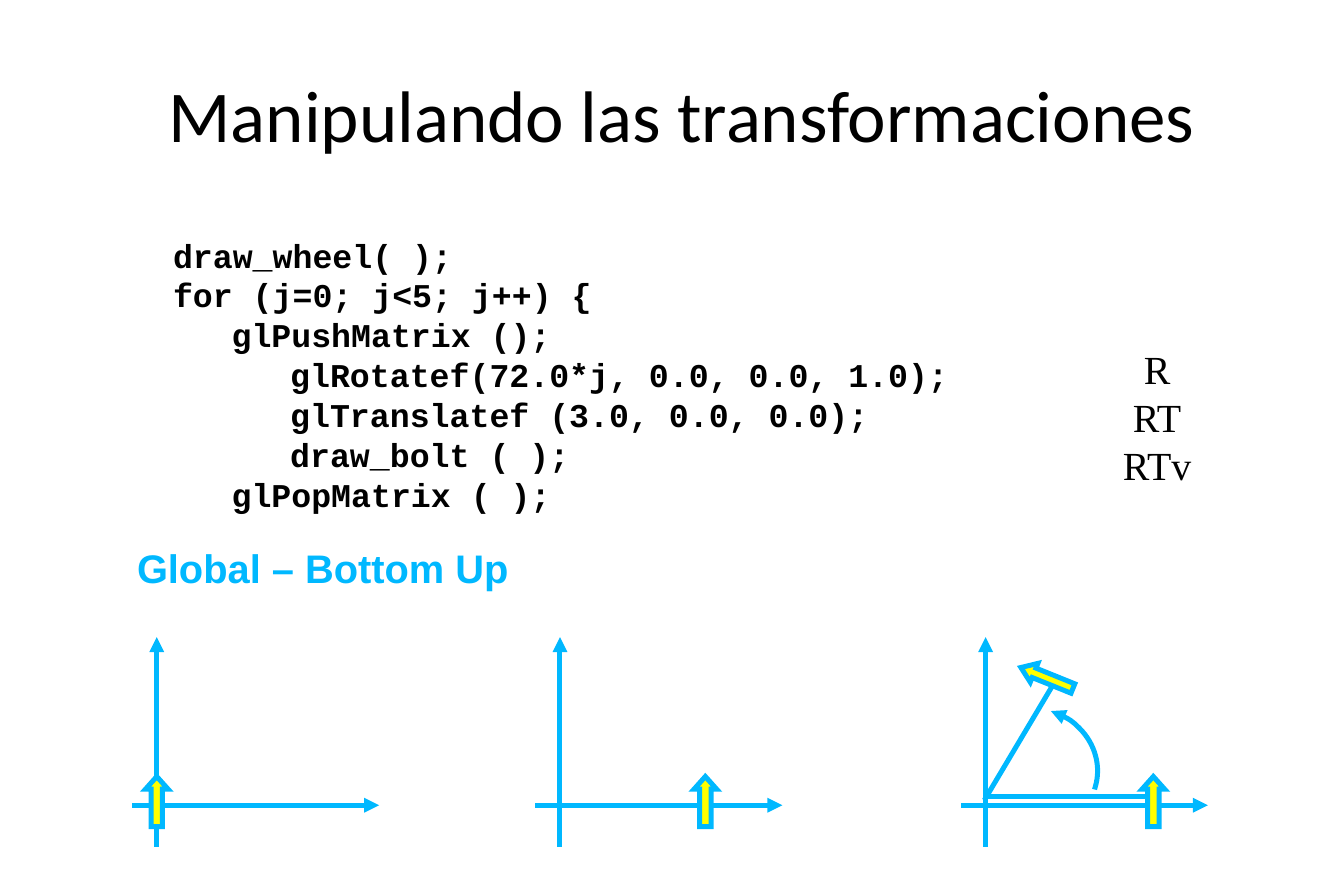
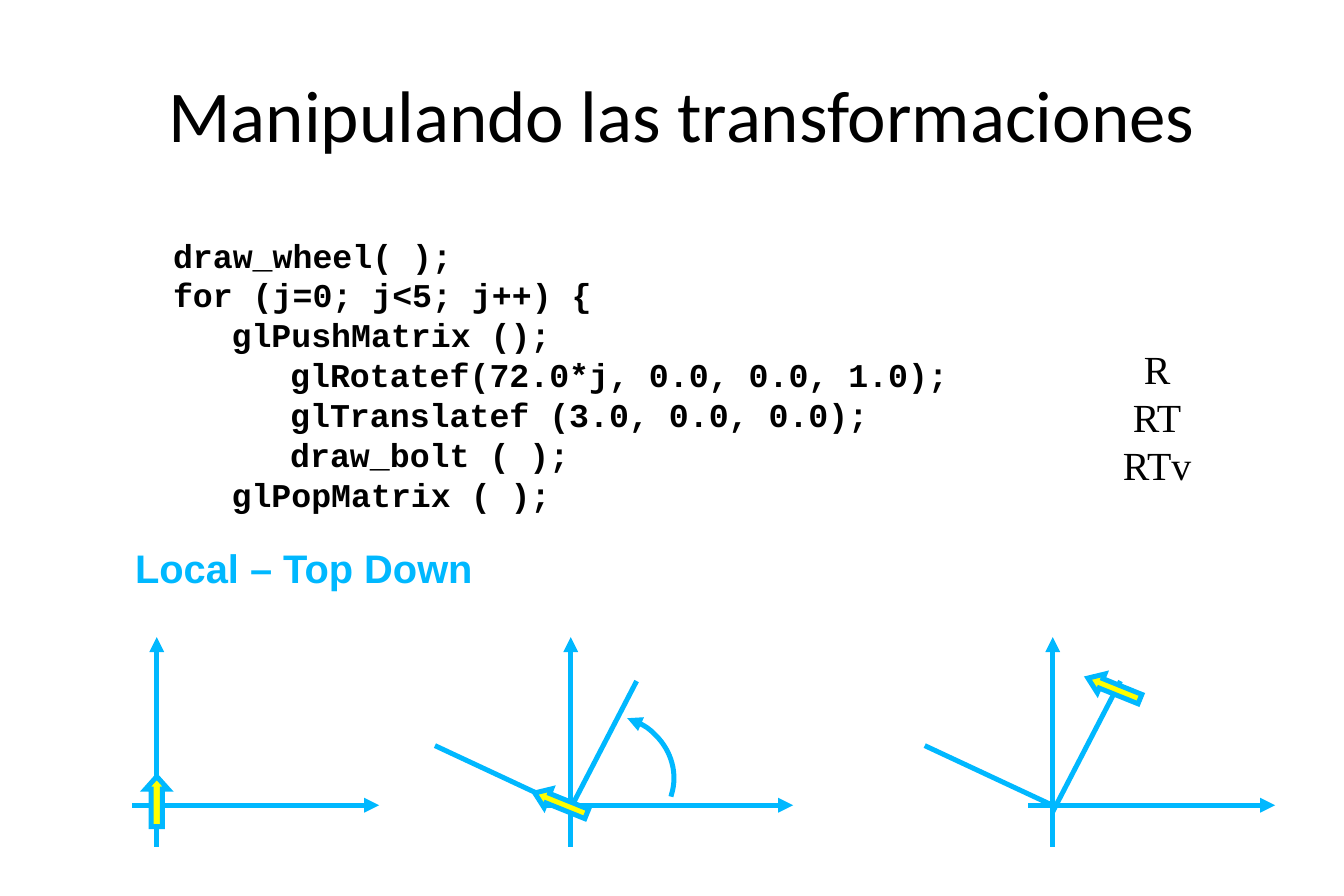
from dataclasses import dataclass

from lxml.etree import SubElement
from pptx import Presentation
from pptx.dml.color import RGBColor
from pptx.dml.line import LineFormat
from pptx.enum.shapes import MSO_CONNECTOR, MSO_SHAPE
from pptx.enum.text import PP_ALIGN
from pptx.oxml.ns import qn
from pptx.shapes.autoshape import Shape
from pptx.shapes.shapetree import GroupShapes, SlideShapes
from pptx.slide import Slide, SlideLayout
from pptx.text.text import _Paragraph as Paragraph
from pptx.util import Pt


@dataclass(frozen=True)
class Theme:
    ink: RGBColor = RGBColor(0x00, 0x00, 0x00)
    accent: RGBColor = RGBColor(0x00, 0xB8, 0xFF)
    bolt: RGBColor = RGBColor(0xFF, 0xFF, 0x00)
    title_size: float = 44
    label_size: float = 24
    code_size: float = 20
    leading: float = 1.2
    stroke: float = 3
    code_indent: float = 35.3


@dataclass(frozen=True)
class Point:
    x: float
    y: float


@dataclass(frozen=True)
class Box:
    left: float
    top: float
    width: float
    height: float


@dataclass(frozen=True)
class TextStyle:
    font: str
    size: float
    color: RGBColor
    bold: bool = False
    align: PP_ALIGN = PP_ALIGN.LEFT


@dataclass(frozen=True)
class Line:
    text: str
    level: int = 0


@dataclass(frozen=True)
class Segment:
    start: Point
    end: Point


@dataclass(frozen=True)
class Figure:
    preset: MSO_SHAPE
    width: float
    height: float
    rotation: float
    adjustments: tuple[float, float]


@dataclass(frozen=True)
class Bolt:
    figure: Figure
    center: Point


@dataclass(frozen=True)
class Scene:
    heading: str
    heading_box: Box
    origins: tuple[float, ...]
    turn_pivot: Point
    rays: tuple[Segment, ...]
    bolts: tuple[Bolt, ...]


THEME = Theme()
SLIDE_WIDTH, SLIDE_HEIGHT = 810, 540

TITLE = "Manipulando las transformaciones"
TITLE_BOX = Box(14.4, 23.5, 793.5, 90)
TITLE_STYLE = TextStyle("Calibri", THEME.title_size, THEME.ink, align=PP_ALIGN.CENTER)

CODE = (
    Line("draw_wheel( );"),
    Line("for (j=0; j<5; j++) {"),
    Line("glPushMatrix ();", level=1),
    Line("glRotatef(72.0*j, 0.0, 0.0, 1.0);", level=2),
    Line("glTranslatef (3.0, 0.0, 0.0);", level=2),
    Line("draw_bolt ( );", level=2),
    Line("glPopMatrix ( );", level=1),
)
CODE_BOX = Box(97.2, 138, 481.7, 175.2)
CODE_STYLE = TextStyle("Courier New", THEME.code_size, THEME.ink, bold=True)

MATRICES = (Line("R"), Line("RT"), Line("RTv"))
MATRIX_BOX = Box(668.9, 204.4, 56.9, 93.6)
MATRIX_STYLE = TextStyle("Times New Roman", THEME.label_size, THEME.ink, align=PP_ALIGN.CENTER)

HEADING_STYLE = TextStyle("Arial", THEME.label_size, THEME.accent, bold=True)

AXIS_Y = 485.3
AXIS_TOP, AXIS_BOTTOM = 384, 509
AXIS_BEFORE, AXIS_AFTER = 13.4, 134
FIRST_ORIGIN = 94.5

UPRIGHT_Y = 483.1
UPRIGHT = Figure(MSO_SHAPE.UP_ARROW, 13.7, 30.2, 0, (0.5, 0.56))
TILTED = Figure(MSO_SHAPE.UP_ARROW, 12.2, 33.8, 292, (0.5, 0.7))
TURN = Figure(MSO_SHAPE.ARC, 72, 77.8, 107, (108, 162))


def upright_bolt(x: float) -> Bolt:
    return Bolt(UPRIGHT, Point(x, UPRIGHT_Y))


def tilted_bolt(x: float, y: float) -> Bolt:
    return Bolt(TILTED, Point(x, y))


def rotated_frame(x_ray_left: float, y_ray_right: float) -> tuple[Segment, Segment]:
    return (
        Segment(Point(x_ray_left, 488.2), Point(x_ray_left + 39.6, 411.8)),
        Segment(Point(y_ray_right, 486), Point(y_ray_right - 77.1, 450)),
    )


GLOBAL_SCENE = Scene(
    heading="Global – Bottom Up",
    heading_box=Box(75.5, 324, 238.3, 36),
    origins=(FIRST_ORIGIN, 337.5, 594),
    turn_pivot=Point(622.8, 463),
    rays=(
        Segment(Point(594, 480.3), Point(688.3, 480.3)),
        Segment(Point(594, 481), Point(634.3, 413.3)),
    ),
    bolts=(
        upright_bolt(FIRST_ORIGIN),
        upright_bolt(425.1),
        tilted_bolt(631, 408.6),
        upright_bolt(695.1),
    ),
)
LOCAL_SCENE = Scene(
    heading="Local – Top Down",
    heading_box=Box(74.3, 324, 219.6, 36),
    origins=(FIRST_ORIGIN, 344, 634.5),
    turn_pivot=Point(367.5, 467.3),
    rays=rotated_frame(343.4, 340.6) + rotated_frame(635, 635.8),
    bolts=(
        upright_bolt(FIRST_ORIGIN),
        tilted_bolt(338, 484.2),
        tilted_bolt(671.4, 415),
    ),
)


def style_paragraph(paragraph: Paragraph, style: TextStyle) -> None:
    paragraph.alignment = style.align
    for run in paragraph.runs:
        run.font.name = style.font
        run.font.size = Pt(style.size)
        run.font.bold = style.bold
        run.font.color.rgb = style.color


def indent_paragraph(paragraph: Paragraph, level: int) -> None:
    properties = paragraph._p.get_or_add_pPr()
    properties.set("marL", str(Pt(level * THEME.code_indent)))
    properties.set("indent", "0")


def add_lines(slide: Slide, box: Box, lines: tuple[Line, ...], style: TextStyle) -> None:
    frame = slide.shapes.add_textbox(
        Pt(box.left), Pt(box.top), Pt(box.width), Pt(box.height)
    ).text_frame
    frame.word_wrap = False
    frame.text = "\n".join(line.text for line in lines)
    for line, paragraph in zip(lines, frame.paragraphs):
        style_paragraph(paragraph, style)
        paragraph.line_spacing = Pt(style.size * THEME.leading)
        indent_paragraph(paragraph, line.level)


def stroke(line: LineFormat, arrow_end: str = "") -> None:
    line.color.rgb = THEME.accent
    line.width = Pt(THEME.stroke)
    outline = line._get_or_add_ln()
    outline.set("cap", "sq")
    SubElement(outline, qn("a:miter")).set("lim", "800000")
    if arrow_end:
        SubElement(outline, qn(f"a:{arrow_end}")).set("type", "triangle")


def add_segment(shapes: SlideShapes | GroupShapes, segment: Segment, arrow_end: str = "") -> None:
    start, end = segment.start, segment.end
    connector = shapes.add_connector(
        MSO_CONNECTOR.STRAIGHT, Pt(start.x), Pt(start.y), Pt(end.x), Pt(end.y)
    )
    stroke(connector.line, arrow_end)
    SubElement(connector._element.spPr, qn("a:effectLst"))


def add_axes(slide: Slide, origin: float) -> None:
    axes = slide.shapes.add_group_shape()
    horizontal = Segment(Point(origin - AXIS_BEFORE, AXIS_Y), Point(origin + AXIS_AFTER, AXIS_Y))
    vertical = Segment(Point(origin, AXIS_BOTTOM), Point(origin, AXIS_TOP))
    for axis in (horizontal, vertical):
        add_segment(axes.shapes, axis, "tailEnd")


def add_figure(slide: Slide, figure: Figure, center: Point) -> Shape:
    shape = slide.shapes.add_shape(
        figure.preset,
        Pt(center.x - figure.width / 2),
        Pt(center.y - figure.height / 2),
        Pt(figure.width),
        Pt(figure.height),
    )
    shape.shadow.inherit = False
    shape.rotation = figure.rotation
    for index, adjustment in enumerate(figure.adjustments):
        shape.adjustments[index] = adjustment
    return shape


def add_turn(slide: Slide, pivot: Point) -> None:
    turn = add_figure(slide, TURN, pivot)
    turn.fill.background()
    stroke(turn.line, "headEnd")


def add_bolt(slide: Slide, bolt: Bolt) -> None:
    arrow = add_figure(slide, bolt.figure, bolt.center)
    arrow.fill.solid()
    arrow.fill.fore_color.rgb = THEME.bolt
    stroke(arrow.line)


def add_title(slide: Slide) -> None:
    frame = slide.shapes.title.text_frame
    frame.text = TITLE
    style_paragraph(frame.paragraphs[0], TITLE_STYLE)


def add_scene(slide: Slide, scene: Scene) -> None:
    add_title(slide)
    add_lines(slide, CODE_BOX, CODE, CODE_STYLE)
    add_lines(slide, MATRIX_BOX, MATRICES, MATRIX_STYLE)
    add_lines(slide, scene.heading_box, (Line(scene.heading),), HEADING_STYLE)
    for origin in scene.origins:
        add_axes(slide, origin)
    add_turn(slide, scene.turn_pivot)
    for ray in scene.rays:
        add_segment(slide.shapes, ray)
    for bolt in scene.bolts:
        add_bolt(slide, bolt)


def place_title(layout: SlideLayout) -> None:
    title = layout.placeholders[0]
    title.left, title.top = Pt(TITLE_BOX.left), Pt(TITLE_BOX.top)
    title.width, title.height = Pt(TITLE_BOX.width), Pt(TITLE_BOX.height)


def main() -> None:
    presentation = Presentation()
    presentation.slide_width, presentation.slide_height = Pt(SLIDE_WIDTH), Pt(SLIDE_HEIGHT)
    layout = presentation.slide_layouts.get_by_name("Title Only")
    place_title(layout)
    for scene in (GLOBAL_SCENE, LOCAL_SCENE):
        add_scene(presentation.slides.add_slide(layout), scene)
    presentation.save("out.pptx")


if __name__ == "__main__":
    main()
